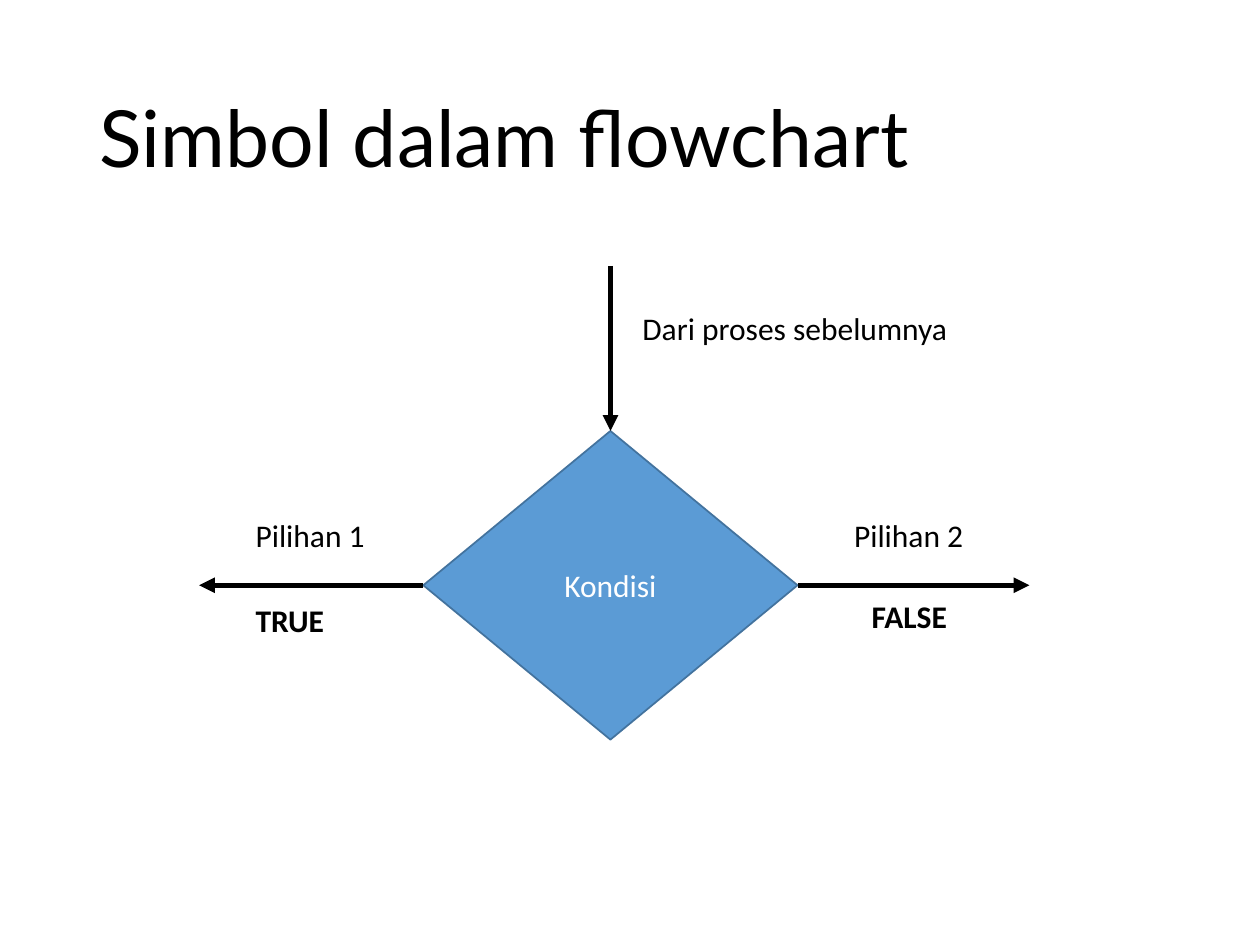
"""Build a slide that explains the decision symbol of a flowchart."""
from dataclasses import dataclass

from lxml import etree
from pptx import Presentation
from pptx.dml.color import RGBColor as RGB
from pptx.enum.shapes import MSO_CONNECTOR as CONN, MSO_SHAPE as SHAPE
from pptx.enum.text import MSO_ANCHOR as ANCHOR, MSO_AUTO_SIZE as FIT, PP_ALIGN as ALIGN
from pptx.oxml.ns import qn
from pptx.util import Inches, Pt


@dataclass(frozen=True)
class Theme:
    ink: RGB = RGB(0x00, 0x00, 0x00)
    light: RGB = RGB(0xFF, 0xFF, 0xFF)
    fill: RGB = RGB(0x5B, 0x9B, 0xD5)
    edge: RGB = RGB(0x43, 0x73, 0x9E)
    title_font: str = "Lato"
    body_font: str = "Calibri"
    title_size: Pt = Pt(45)
    body_size: Pt = Pt(18)
    edge_width: Pt = Pt(1)
    arrow_width: Pt = Pt(3)


theme = Theme()


def write(sp, text, frame, para, color=theme.ink, **font):
    tf = sp.text_frame
    p = tf.paragraphs[0]
    r = p.add_run()
    r.text = text
    r.font.color.rgb = color
    font = {"name": theme.body_font, "size": theme.body_size, **font}
    for target, values in ((tf, frame), (p, para), (r.font, font)):
        for name, value in values.items():
            setattr(target, name, value)


prs = Presentation()
prs.slide_width, prs.slide_height = Inches(10), Inches(7.5)
s = prs.slides.add_slide(prs.slide_layouts[6])
shapes = s.shapes

title = shapes.add_textbox(Inches(0.69), Inches(0.4), Inches(8.62), Inches(1.45))
write(title, "Simbol dalam flowchart",
      {"word_wrap": True, "vertical_anchor": ANCHOR.MIDDLE}, {"line_spacing": 0.9},
      name=theme.title_font, size=theme.title_size)

decision = shapes.add_shape(SHAPE.FLOWCHART_DECISION,
                            Inches(3.36), Inches(3.42), Inches(2.97), Inches(2.45))
decision.shadow.inherit = False
decision.fill.solid()
decision.fill.fore_color.rgb = theme.fill
decision.line.color.rgb = theme.edge
decision.line.width = theme.edge_width
write(decision, "Kondisi", {"word_wrap": True, "vertical_anchor": ANCHOR.MIDDLE},
      {"alignment": ALIGN.CENTER}, theme.light)

center_x = decision.left + decision.width // 2
center_y = decision.top + decision.height // 2
right = decision.left + decision.width
arrows = [
    ((center_x, Inches(2.11)), (center_x, decision.top), "end_connect", 0),
    ((right, center_y), (Inches(8.17), center_y), "begin_connect", 3),
    ((decision.left, center_y), (Inches(1.58), center_y), "begin_connect", 1),
]
for start, end, join, site in arrows:
    arrow = shapes.add_connector(CONN.STRAIGHT, *start, *end)
    getattr(arrow, join)(decision, site)
    arrow.line.color.rgb = theme.ink
    arrow.line.width = theme.arrow_width
    etree.SubElement(arrow.line._get_or_add_ln(), qn("a:tailEnd"), type="triangle")
    etree.SubElement(arrow._element.spPr, qn("a:effectLst"))

labels = [
    ("Dari proses sebelumnya", 5, 2.4, 2.65, False),
    ("Pilihan 1", 1.93, 4.05, 1.08, False),
    ("Pilihan 2", 6.68, 4.05, 1.08, False),
    ("TRUE", 1.93, 4.72, 0.76, True),
    ("FALSE", 6.82, 4.69, 0.8, True),
]
for text, left, top, width, bold in labels:
    label = shapes.add_textbox(Inches(left), Inches(top), Inches(width), Inches(0.4))
    write(label, text, {"word_wrap": False, "auto_size": FIT.SHAPE_TO_FIT_TEXT}, {}, bold=bold)

prs.save("out.pptx")
